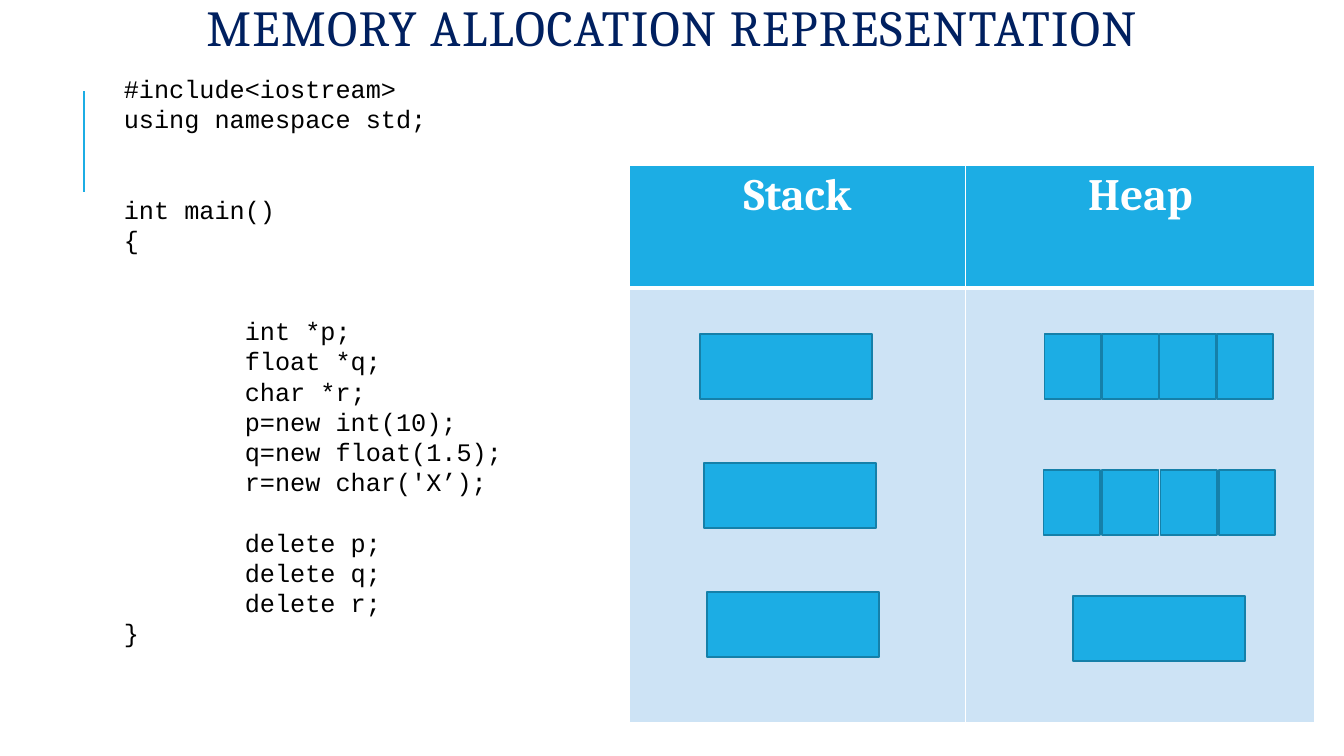
from pptx import Presentation
from pptx.dml.color import RGBColor
from pptx.enum.shapes import MSO_CONNECTOR, MSO_SHAPE
from pptx.enum.text import MSO_ANCHOR, PP_ALIGN
from pptx.oxml.ns import qn
from pptx.util import Inches, Pt
from lxml.etree import SubElement

TITLE = "MEMORY ALLOCATION REPRESENTATION"
CODE = [
    (0, 0, "#include<iostream>"),
    (0, 0, "using namespace std;"),
    (2, 0, "int main()"),
    (0, 0, "{"),
    (2, 1, "int *p;"),
    (0, 1, "float *q;"),
    (0, 1, "char *r;"),
    (0, 1, "p=new int(10);"),
    (0, 1, "q=new float(1.5);"),
    (0, 1, "r=new char('X’);"),
    (1, 1, "delete p;"),
    (0, 1, "delete q;"),
    (0, 1, "delete r;"),
    (0, 0, "}"),
]
REGIONS = [("Stack", 3.34), ("Heap", 3.46)]
REGION_ROWS = [1.22, 4.31]
POINTERS = [(6.94, 3.31), (6.98, 4.59), (7.01, 5.87)]
FOUR_BYTE_VALUES = [(10.36, 3.31, 0.57), (10.35, 4.66, 0.58)]
ONE_BYTE_VALUE = (10.64, 5.91)
BLOCK_WIDTH, BYTE_WIDTH, BLOCK_HEIGHT = 1.71, 0.56, 0.65

THEME = {
    "accent": "1CADE4", "edge": "1580A9", "pale": "CDE3F5",
    "white": "FFFFFF", "title": "002060", "code": "000000",
    "heading_font": "Cambria", "code_font": "Courier New",
    "title_size": 36, "region_size": 32, "code_size": 18, "code_line": 21.6,
    "indent": 1.2,
}


def color(name):
    return RGBColor.from_string(THEME[name])


def add_run(paragraph, text, font, size, ink, bold=False):
    run = paragraph.add_run()
    run.text = text
    run.font.name = THEME[font]
    run.font.size = Pt(THEME[size])
    run.font.color.rgb = color(ink)
    run.font.bold = bold
    return run


def add_block(left, top, width):
    block = slide.shapes.add_shape(
        MSO_SHAPE.RECTANGLE, *map(Inches, (left, top, width, BLOCK_HEIGHT)))
    block.shadow.inherit = False
    block.fill.solid()
    block.fill.fore_color.rgb = color("accent")
    block.line.color.rgb = color("edge")
    block.line.width = Pt(1.25)


def paint_cell(cell, fill, bottom):
    properties = cell._tc.get_or_add_tcPr()
    for side, width in (("L", 1), ("R", 1), ("T", 1), ("B", bottom)):
        border = SubElement(properties, qn(f"a:ln{side}"), w=str(Pt(width)))
        paint = SubElement(border, qn("a:solidFill"))
        SubElement(paint, qn("a:srgbClr"), val=THEME["white"])
    cell.fill.solid()
    cell.fill.fore_color.rgb = color(fill)


deck = Presentation()
deck.slide_width, deck.slide_height = Inches(13.33), Inches(7.5)
slide = deck.slides.add_slide(deck.slide_layouts[6])

accent_rule = slide.shapes.add_connector(
    MSO_CONNECTOR.STRAIGHT, *map(Inches, (0.83, 1.9, 0.83, 0.9)))
accent_rule.line.color.rgb = color("accent")
accent_rule.line.width = Pt(1.5)
SubElement(accent_rule._element.spPr, qn("a:effectLst"))

heading = slide.shapes.add_textbox(*map(Inches, (-0.43, -0.04, 14.19, 0.71))).text_frame
heading.word_wrap = True
heading.vertical_anchor = MSO_ANCHOR.MIDDLE
heading_line = heading.paragraphs[0]
heading_line.alignment = PP_ALIGN.CENTER
heading_line.line_spacing = 0.8
heading_run = add_run(heading_line, TITLE, "heading_font", "title_size", "title")
heading_run.font._element.set("spc", "100")

memory = slide.shapes.add_table(
    len(REGION_ROWS), len(REGIONS), Inches(6.24), Inches(1.64),
    Inches(sum(width for _, width in REGIONS)), Inches(sum(REGION_ROWS))).table
for row, height in zip(memory.rows, REGION_ROWS):
    row.height = Inches(height)
for column, (region, width) in enumerate(REGIONS):
    memory.columns[column].width = Inches(width)
    header, body = memory.cell(0, column), memory.cell(1, column)
    paint_cell(header, "accent", 3)
    paint_cell(body, "pale", 1)
    label = header.text_frame.paragraphs[0]
    label.alignment = PP_ALIGN.CENTER
    add_run(label, region, "heading_font", "region_size", "white", True)

for left, top in POINTERS + [ONE_BYTE_VALUE]:
    add_block(left, top, BLOCK_WIDTH)
for left, top, pitch in FOUR_BYTE_VALUES:
    for byte in range(4):
        add_block(left + byte * pitch, top, BYTE_WIDTH)

listing = slide.shapes.add_textbox(*map(Inches, (1.13, 0.68, 6.67, 5.86))).text_frame
listing.word_wrap = True
for number, (gap, depth, code) in enumerate(CODE):
    line = listing.add_paragraph() if number else listing.paragraphs[0]
    line.line_spacing = Pt(THEME["code_line"])
    line.space_before = Pt(gap * THEME["code_line"])
    line._p.get_or_add_pPr().set("marL", str(Inches(depth * THEME["indent"])))
    add_run(line, code, "code_font", "code_size", "code")

deck.save("out.pptx")
